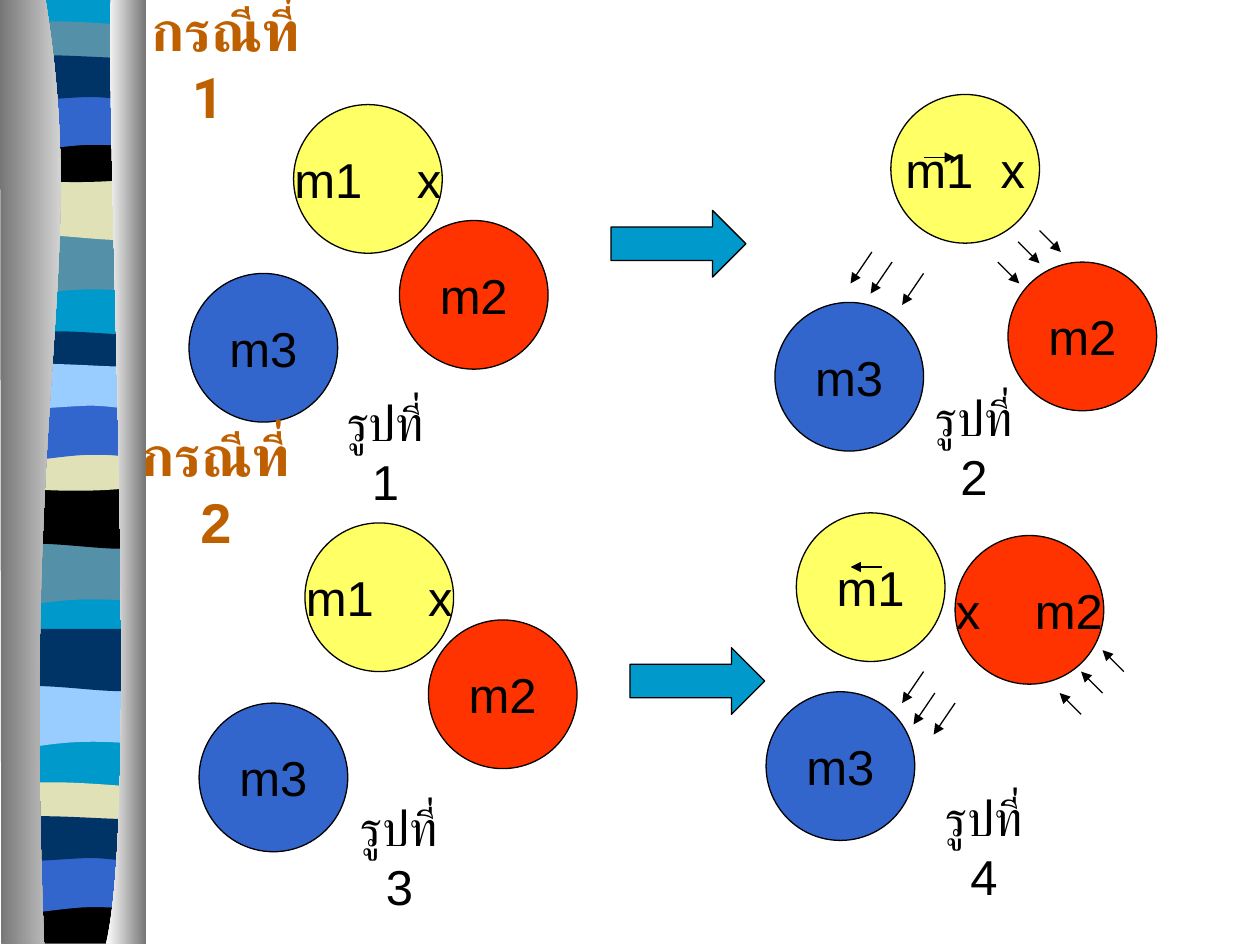
from pptx import Presentation
from pptx import util as u
from pptx.dml.color import RGBColor
from pptx.enum import shapes, text
from pptx.oxml import xmlchemy, ns

BLACK = RGBColor(0x00, 0x00, 0x00)
WHITE = RGBColor(0xFF, 0xFF, 0xFF)
GRAY = RGBColor(0x76, 0x76, 0x76)
YELLOW = RGBColor(0xFF, 0xFF, 0x66)
RED = RGBColor(0xFF, 0x33, 0x00)
BLUE = RGBColor(0x33, 0x66, 0xCC)
CYAN = RGBColor(0x00, 0x99, 0xCC)
STEEL = RGBColor(0x54, 0x90, 0xA8)
SAND = RGBColor(0xE1, 0xE1, 0xB7)
NAVY = RGBColor(0x00, 0x33, 0x66)
SKY = RGBColor(0x99, 0xCC, 0xFF)
ORANGE = RGBColor(0xBE, 0x5F, 0x00)

# Outlines: a pair is a corner, six numbers are a Bezier curve
SWELL = [(1.14, 0), (1.14, .47), (.39, .39, .24, .55, .06, .47), (.06, 0)]
RIPPLE = [(1.14, 0), (1.14, .47), (.96, .55, .39, .41, .06, .47), (.06, 0)]
STRIP = [(1.14, .05), (1.14, .29), (.96, .33, .24, .33, .06, .29), (.06, .05),
         (.12, 0, .29, .01, .47, .01), (.65, .01, 1, .04, 1.14, .05)]
DIP = [(1.14, 0), (1.14, .32), (.96, .38, .24, .38, .06, .32), (.06, 0),
       (.72, .05, .91, 0, 1.14, 0)]
ARCH = [(1.14, 0), (1.14, .47), (.97, .41, .9, .41, .72, .41),
        (.54, .41, .22, .47, .06, .47), (.06, 0)]
BAR = [(1.14, .05), (1.14, .36), (1.07, .41, .9, .36, .72, .36),
       (.54, .36, .17, .41, .06, .36), (.06, .05), (.21, 0, .79, .05, .97, .05),
       (1.15, .05, 1.1, .05, 1.14, .05)]
FOOT = [(1.14, 0), (1.14, .37), (.06, .37), (.06, 0), (.72, .05, .91, 0, 1.14, 0)]
BACKING = [(1.14, 0), (1.14, 7.48), (.06, 7.48), (.06, 0)]
LEFT_COLUMN = [(.36, 0), (.71, 2.17, .17, 2.97, .35, 7.5), (.01, 7.5), (0, 0)]
RIGHT_COLUMN = [(.88, 0), (.84, 1.26, 1.11, 6.47, .84, 7.5), (1.16, 7.5), (1.16, .01)]

BANDS = [
    (BACKING, -.01, CYAN),
    (SWELL, 1.85, STEEL), (RIPPLE, 1.41, SAND), (STRIP, .16, STEEL),
    (DIP, 1.08, BLACK), (ARCH, .74, BLUE), (BAR, .41, NAVY),
    (SWELL, 4.31, STEEL), (RIPPLE, 3.86, BLACK), (STRIP, 2.62, NAVY),
    (DIP, 3.53, SAND), (ARCH, 3.2, BLUE), (BAR, 2.86, SKY),
    (SWELL, 5.44, SKY), (RIPPLE, 4.99, NAVY), (STRIP, 6.2, SAND),
    (FOOT, 7.12, BLACK), (ARCH, 6.79, BLUE), (BAR, 6.45, NAVY),
]


def write_text(frame, words, *, size=28, font="Arial", color=BLACK, bold=False,
               gap=0, indent=0):
    """Write one centred line; gap widens its space by that many points."""
    frame.vertical_anchor = text.MSO_ANCHOR.MIDDLE
    line = frame.paragraphs[0]
    line.alignment = text.PP_ALIGN.CENTER
    if indent:
        line._p.get_or_add_pPr().set("indent", str(u.Inches(indent)))
    for piece in words.partition(" ") if gap else [words]:
        run = line.add_run()
        run.text = piece
        run.font.size, run.font.name = u.Pt(size), font
        run.font.bold, run.font.color.rgb = bold, color
        if piece == " ":
            run._r.get_or_add_rPr().set("spc", str(round(gap * 100)))


class Board:
    ball_size = 1.18
    line_width = u.Pt(0.75)

    def __init__(self, slide):
        self.shapes = slide.shapes

    def outline(self, parts, top):
        """Draw the control points as lines, then join each curve's three into a Bezier."""
        points = [(u.Inches(part[i]), u.Inches(part[i + 1] + top))
                  for part in parts for i in range(0, len(part), 2)]
        builder = self.shapes.build_freeform(*points[0], scale=1.0)
        builder.add_line_segments(points[1:], close=True)
        piece = builder.convert_to_shape()
        segments = iter(list(piece._element.iter(ns.qn("a:lnTo"))))
        for part in parts[1:]:
            first = next(segments)
            if len(part) == 6:
                curve = xmlchemy.OxmlElement("a:cubicBezTo")
                first.addprevious(curve)
                for segment in (first, next(segments), next(segments)):
                    curve.append(segment[0])
                    segment.getparent().remove(segment)
        piece.shadow.inherit = False
        piece.line.fill.background()
        return piece

    def band(self, parts, top, color):
        piece = self.outline(parts, top)
        piece.fill.solid()
        piece.fill.fore_color.rgb = color

    def column(self, parts, *colors):
        fill = self.outline(parts, -.01).fill
        fill.gradient()
        fill.gradient_angle = 0
        for stop, color in zip(fill.gradient_stops, colors):
            stop.color.rgb = color

    def preset(self, kind, color, *box):
        piece = self.shapes.add_shape(kind, *map(u.Inches, box))
        piece.shadow.inherit = False
        piece.fill.solid()
        piece.fill.fore_color.rgb = color
        piece.line.color.rgb, piece.line.width = BLACK, self.line_width
        return piece

    def ball(self, words, color, left, top, gap=0):
        piece = self.preset(shapes.MSO_SHAPE.OVAL, color, left, top,
                            self.ball_size, self.ball_size)
        piece.text_frame.word_wrap = False
        write_text(piece.text_frame, words, gap=gap)

    def block_arrow(self, left, top):
        self.preset(shapes.MSO_SHAPE.RIGHT_ARROW, CYAN, left, top, 1.07, .53)

    def caption(self, words, left, top, width=1.1, height=.57, **style):
        frame = self.shapes.add_textbox(*map(u.Inches, (left, top, width, height))).text_frame
        frame.word_wrap = True
        frame.auto_size = text.MSO_AUTO_SIZE.SHAPE_TO_FIT_TEXT
        frame.margin_left = frame.margin_right = u.Inches(.15)
        write_text(frame, words, **style)

    def arrows(self, dx, dy, *starts):
        for x, y in starts:
            arrow = self.shapes.add_connector(
                shapes.MSO_CONNECTOR.STRAIGHT, *map(u.Inches, (x, y, x + dx, y + dy)))
            arrow.line.color.rgb, arrow.line.width = BLACK, self.line_width
            head = xmlchemy.OxmlElement("a:tailEnd")
            head.set("type", "triangle")
            arrow._element.spPr.find(ns.qn("a:ln")).append(head)
            arrow._element.spPr.append(xmlchemy.OxmlElement("a:effectLst"))


def main():
    deck = Presentation()
    deck.slide_width, deck.slide_height = u.Inches(10), u.Inches(7.5)
    board = Board(deck.slides.add_slide(deck.slide_layouts[6]))

    # Striped ribbon between two shaded columns
    for band in BANDS:
        board.band(*band)
    board.column(LEFT_COLUMN, GRAY, WHITE)
    board.column(RIGHT_COLUMN, WHITE, GRAY)

    # Balls of figures 1 to 4
    for words, color, left, top, gap in [
        ("m1 x", YELLOW, 2.33, .83, 23.3), ("m2", RED, 3.17, 1.75, 0), ("m3", BLUE, 1.5, 2.17, 0),
        ("m1 x", YELLOW, 7.07, .75, 7.8), ("m2", RED, 8, 2.08, 0), ("m3", BLUE, 6.15, 2.4, 0),
        ("m1 x", YELLOW, 2.42, 4.15, 23.3), ("m2", RED, 3.4, 4.92, 0), ("m3", BLUE, 1.58, 5.58, 0),
        ("m1", YELLOW, 6.32, 4.07, 0), ("x m2", RED, 7.58, 4.25, 23.3), ("m3", BLUE, 6.08, 5.49, 0),
    ]:
        board.ball(words, color, left, top, gap)

    # Case headings
    heading = dict(size=32, color=ORANGE, bold=True)
    board.caption("กรณีที่ 1", .64, .18, 2.02, .64, font="Roboto", indent=.28, **heading)
    board.caption("กรณีที่ 2", .85, 3.55, 1.73, .64, **heading)

    # Steps from the first state to the second
    board.block_arrow(4.85, 1.67)
    board.block_arrow(5, 5.14)

    # Directions of motion and force
    board.arrows(.25, 0, (7.33, 1.25))
    board.arrows(-.25, 0, (7, 4.5))
    board.arrows(-.17, .25, (6.92, 2), (7.08, 2.08), (7.33, 2.17),
                 (7.33, 5.33), (7.42, 5.5), (7.58, 5.58))
    board.arrows(.17, .17, (7.92, 2.08), (8.08, 1.92), (8.25, 1.83))
    board.arrows(-.17, -.17, (8.58, 5.67), (8.75, 5.5), (8.92, 5.33))

    # Figure captions
    for number, place in enumerate([(2.51, 3.3), (7.18, 3.26), (2.62, 6.51), (7.26, 6.43)], 1):
        board.caption(f"รูปที่ {number}", *place)

    deck.save("out.pptx")


if __name__ == "__main__":
    main()
